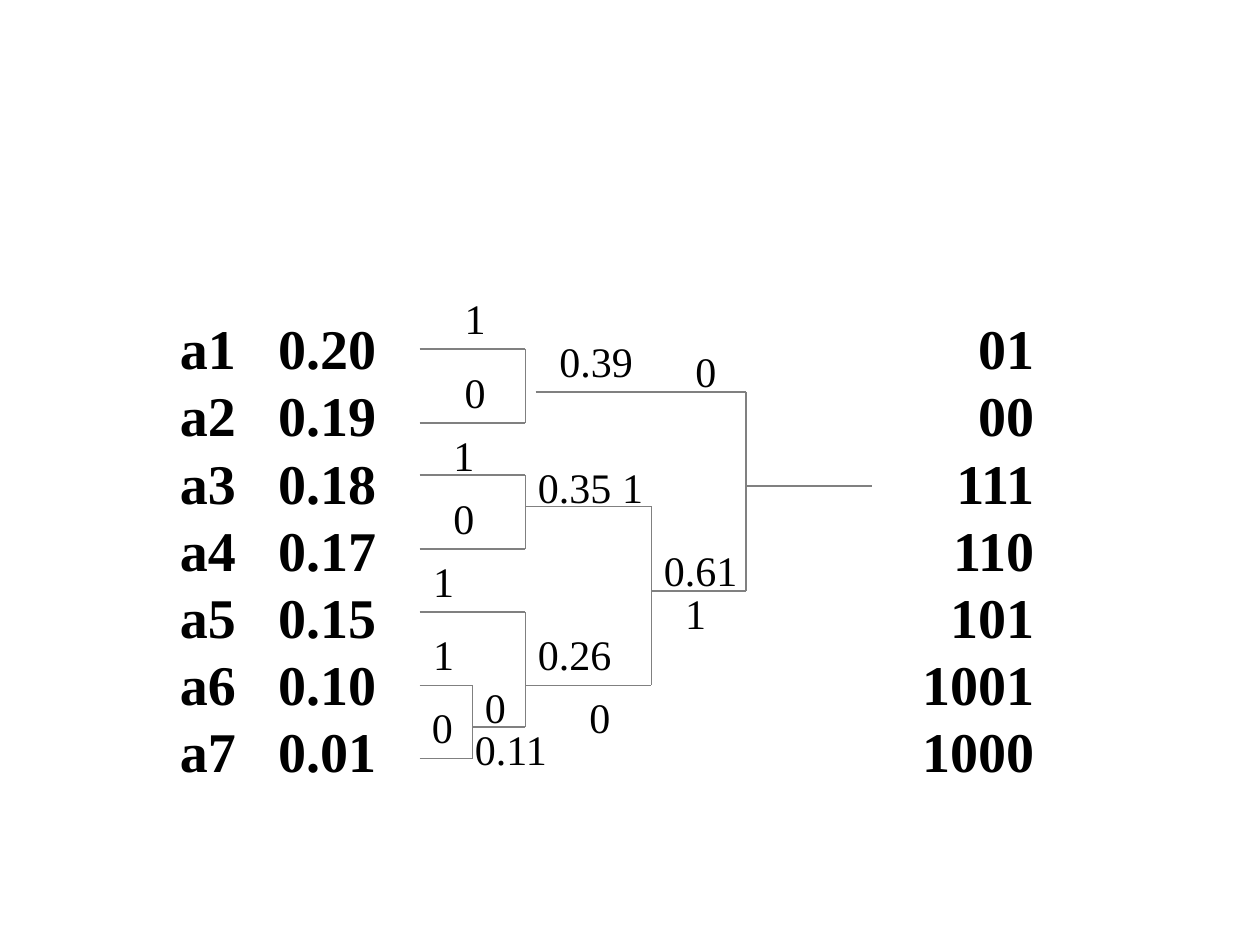
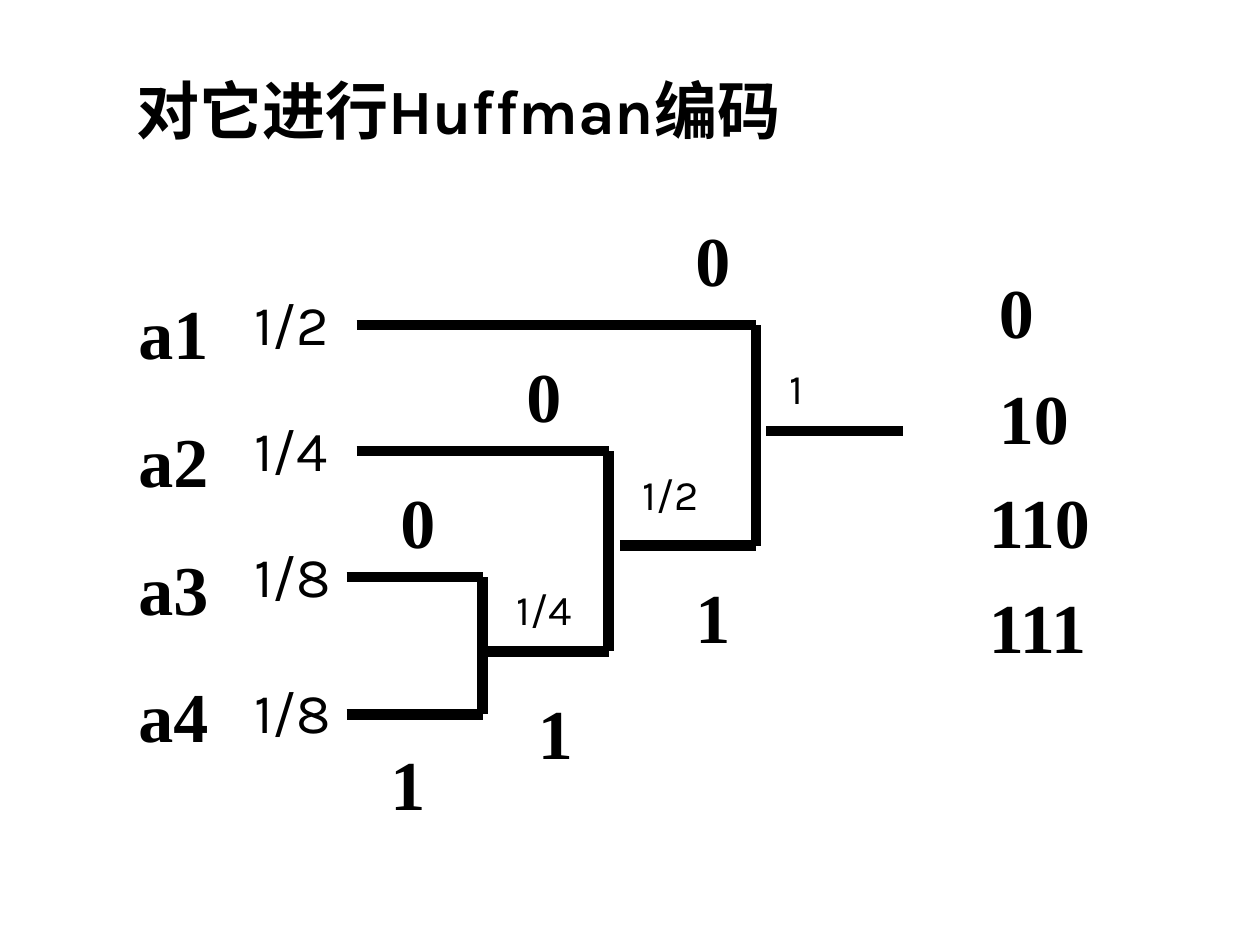
from lxml.etree import SubElement
from pptx import Presentation
from pptx.dml.color import RGBColor
from pptx.enum.shapes import MSO_CONNECTOR
from pptx.enum.text import MSO_ANCHOR, MSO_AUTO_SIZE, PP_ALIGN
from pptx.oxml.ns import qn
from pptx.util import Inches, Pt

COLORS = {"text": "000000", "thin_branch": "808080", "thick_branch": "000000"}
SERIF, SANS = "Times New Roman", "Karla"
TITLE_ONLY, BLANK = 5, 6
LINE_HEIGHT = 1.2


def format_text(frame, size, font, bold=False, gap=0):
    """Style every paragraph; gap is the space between paragraphs."""
    for index, para in enumerate(frame.paragraphs):
        para.alignment = PP_ALIGN.LEFT
        para.space_before = Pt(gap if index else 0)
        if font == SERIF:
            para.line_spacing = Pt(size * LINE_HEIGHT)
        for span in para.runs:
            span.font.size = Pt(size)
            span.font.name = font
            span.font.bold = bold
            span.font.color.rgb = RGBColor.from_string(COLORS["text"])


def add_text(page, text, left, top, width, height, size, font=SERIF,
             bold=False, gap=0, wrap=True):
    box = page.shapes.add_textbox(Inches(left), Inches(top),
                                  Inches(width), Inches(height))
    frame = box.text_frame
    frame.word_wrap = wrap
    frame.text = text
    format_text(frame, size, font, bold, gap)
    return frame


def add_title(page, text, left, top, width, height):
    title = page.shapes.title
    title.left, title.top = Inches(left), Inches(top)
    title.width, title.height = Inches(width), Inches(height)
    frame = title.text_frame
    frame.text = text
    frame.word_wrap = True
    frame.auto_size = MSO_AUTO_SIZE.NONE
    frame.vertical_anchor = MSO_ANCHOR.TOP
    format_text(frame, 36, SANS, bold=True)


def set_tabs(para, stops):
    tab_list = SubElement(para._p.get_or_add_pPr(), qn("a:tabLst"))
    for position, alignment in stops:
        SubElement(tab_list, qn("a:tab"), pos=str(Inches(position)), algn=alignment)


def add_branch(page, start, end, color, weight):
    line = page.shapes.add_connector(MSO_CONNECTOR.STRAIGHT,
                                     *map(Inches, start + end))
    line.line.color.rgb = RGBColor.from_string(COLORS[color])
    line.line.width = Pt(weight)
    SubElement(line._element.spPr, qn("a:effectLst"))


def add_tree(page, forks, root, color, weight):
    """Draw forks (upper start, lower start, join x, upper y, lower y) and the root."""
    for upper_left, lower_left, join, upper, lower in forks:
        add_branch(page, (upper_left, upper), (join, upper), color, weight)
        add_branch(page, (lower_left, lower), (join, lower), color, weight)
        add_branch(page, (join, upper), (join, lower), color, weight)
    left, right, level = root
    add_branch(page, (left, level), (right, level), color, weight)


def build_seven_symbols(deck):
    page = deck.slides.add_slide(deck.slide_layouts[BLANK])

    # Symbols, probabilities and code words
    rows = [("0.20", "01"), ("0.19", "00"), ("0.18", "111"), ("0.17", "110"),
            ("0.15", "101"), ("0.10", "1001"), ("0.01", "1000")]
    listing = "\n".join(f"a{number}\t{chance}\t{code}"
                        for number, (chance, code) in enumerate(rows, 1))
    frame = add_text(page, listing, 1.33, 2.44, 7.1, 3.84, 32, bold=True)
    for para in frame.paragraphs:
        set_tabs(para, [(0.78, "l"), (6.78, "r")])

    # Code tree
    forks = [(3.33, 3.33, 4.17, 2.77, 3.36), (3.33, 3.33, 4.17, 3.77, 4.36),
             (3.33, 3.33, 3.75, 5.44, 6.02), (3.33, 3.75, 4.17, 4.86, 5.77),
             (4.17, 4.17, 5.17, 4.02, 5.44), (4.25, 5.17, 5.92, 3.11, 4.69)]
    add_tree(page, forks, (5.92, 6.92, 3.86), "thin_branch", 1)

    # Branch bits and summed probabilities
    labels = [("1", 3.59, 2.27), ("0", 3.59, 2.86), ("1", 3.5, 3.36),
              ("0", 3.5, 3.86), ("1", 3.34, 4.36), ("1", 3.34, 4.94),
              ("0", 3.33, 5.52), ("0", 3.75, 5.36), ("0.11", 3.67, 5.69),
              ("0.39", 4.34, 2.61), ("0", 5.42, 2.69), ("0.35", 4.17, 3.61),
              ("1", 4.84, 3.61), ("0.26", 4.17, 4.94), ("0", 4.58, 5.44),
              ("0.61", 5.17, 4.27), ("1", 5.34, 4.61)]
    for text, left, top in labels:
        width = 0.36 if len(text) == 1 else 0.78
        add_text(page, text, left, top, width, 0.5, 24, wrap=False)


def build_four_symbols(deck):
    page = deck.slides.add_slide(deck.slide_layouts[TITLE_ONLY])
    add_title(page, "对它进行Huffman编码", 0.98, 0.52, 6.08, 0.7)

    # Symbols and probabilities
    add_text(page, "a1\na2\na3\na4", 1, 2.25, 1.08, 3.81, 40, bold=True, gap=25)
    for text, top in [("1/2", 2.25), ("1/4", 3.25), ("1/8", 4.25), ("1/8", 5.33)]:
        add_text(page, text, 1.92, top, 1.42, 0.64, 32, SANS)

    # Code tree
    forks = [(2.75, 2.75, 3.83, 4.58, 5.67), (2.83, 3.83, 4.83, 3.58, 5.17),
             (2.83, 4.92, 6, 2.58, 4.33)]
    add_tree(page, forks, (6.08, 7.17, 3.42), "thick_branch", 6)

    # Summed probabilities
    for text, left, top in [("1/4", 4, 4.58), ("1/2", 5, 3.67), ("1", 6.17, 2.83)]:
        add_text(page, text, left, top, 0.83, 0.5, 24, SANS)

    # Branch bits
    bits = [("0", 5.42, 1.67), ("1", 5.42, 4.5), ("0", 4.08, 2.75),
            ("1", 4.17, 5.42), ("0", 3.08, 3.75), ("1", 3, 5.83)]
    for text, left, top in bits:
        add_text(page, text, left, top, 0.5, 0.77, 40, bold=True)

    # Code words
    codes = [("0", 7.83, 2.08), ("10", 7.83, 2.92),
             ("110", 7.75, 3.75), ("111", 7.75, 4.58)]
    for text, left, top in codes:
        add_text(page, text, left, top, 1.33, 0.77, 40, bold=True)


def main():
    deck = Presentation()
    deck.slide_width, deck.slide_height = Inches(10), Inches(7.5)
    build_seven_symbols(deck)
    build_four_symbols(deck)
    deck.save("out.pptx")


if __name__ == "__main__":
    main()
